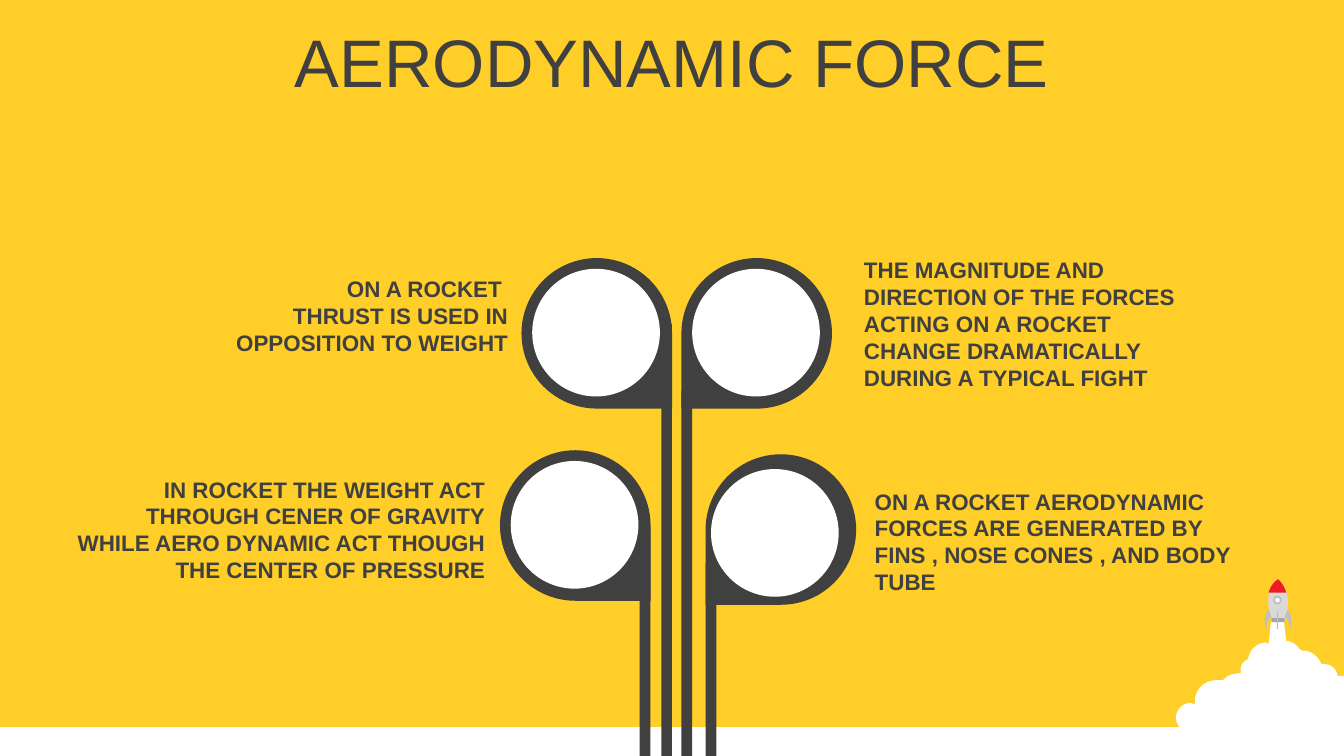
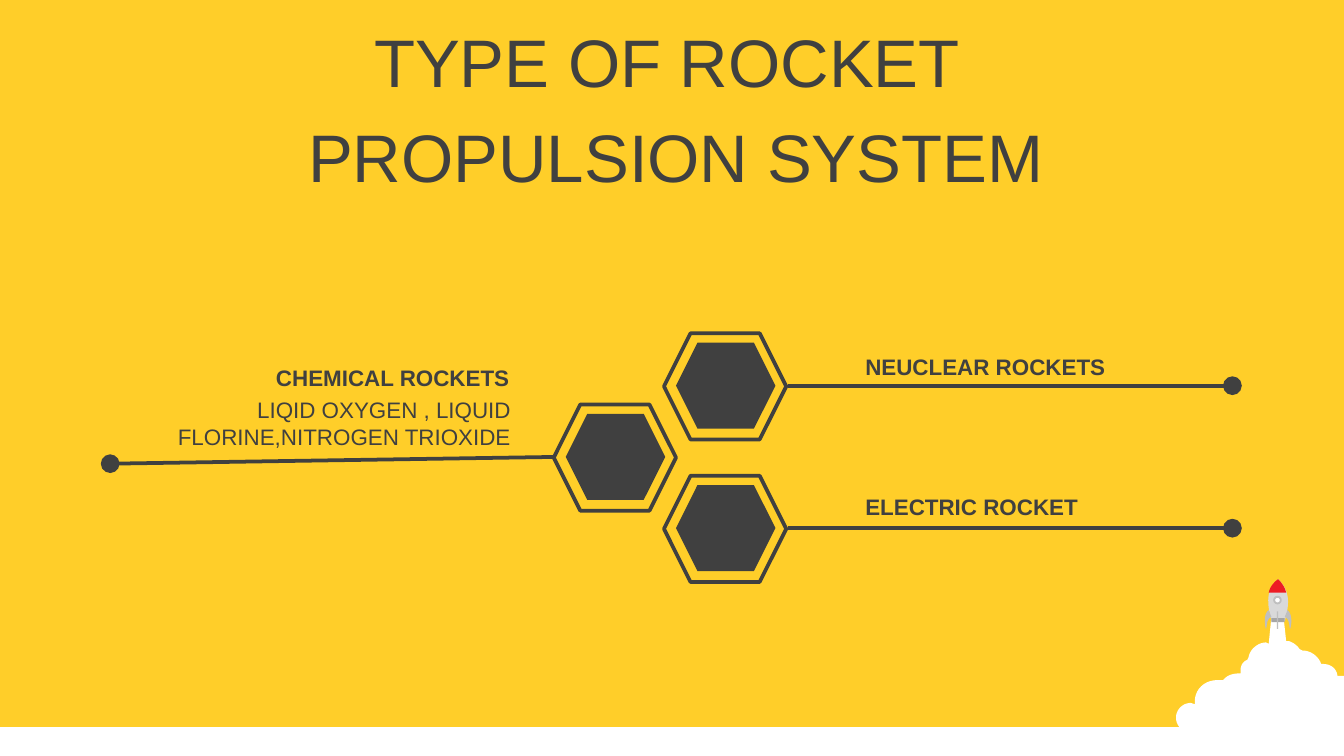
from pptx import Presentation
from pptx.dml.color import RGBColor as Rgb
from pptx.enum.shapes import MSO_CONNECTOR as Link, MSO_SHAPE as Kind
from pptx.enum.text import MSO_ANCHOR as Anchor, MSO_AUTO_SIZE as Fit, PP_ALIGN as Align
from pptx.oxml.ns import qn
from pptx.util import Inches, Pt
from lxml.etree import SubElement

WIDE = 10
HIGH = WIDE * 9 / 16
FONT = "Arial"
HUES = {
    "sky": "FFCE29", "ink": "404040", "white": "FFFFFF", "hull": "D9D9D9",
    "belt": "A6A6A6", "fin": "BFBFBF", "nose": "ED1C24",
}

CLOUD = [
    (.71, .28), (.8, .28), (.82, .46), (.84, .46), (.87, .47, .9, .49, .92, .52),
    (.94, .53), (1, .53, 1.06, .57, 1.08, .63), (1.09, .63),
    (1.15, .63, 1.19, .66, 1.2, .71), (1.2, .72), (1.25, .72), (1.25, 1.3),
    (.59, 1.3), (.48, 1.3, .42, 1.25, .38, 1.2), (.18, 1.12),
    (.16, 1.14, .14, 1.14, .11, 1.14), (.05, 1.14, 0, 1.09, 0, 1.03),
    (0, .97, .05, .92, .11, .92), (.14, .93), (.14, .91),
    (.14, .82, .21, .75, .31, .75), (.35, .75), (.36, .74),
    (.39, .71, .43, .7, .48, .7), (.48, .68), (.48, .64, .5, .61, .53, .6),
    (.54, .58), (.55, .52, .61, .47, .67, .47), (.69, .48),
]
HULL = [(.71, .31), (.69, .22, .65, .09, .76, 0), (.87, .1, .83, .23, .81, .31)]
NOSE = [(.76, 0), (.79, .03, .81, .06, .82, .1), (.69, .1), (.7, .06, .72, .03, .76, 0)]
FIN = [(.69, .23), (.71, .28), (.67, .3, .68, .35, .67, .37), (.66, .34, .65, .26, .69, .23)]


def hue(name):
    """Return the named colour."""
    return Rgb.from_string(HUES[name])


def paint(shape, fill, edge=None, width=1):
    """Give a shape a flat fill and an optional edge."""
    shape.shadow.inherit = False
    shape.fill.solid()
    shape.fill.fore_color.rgb = hue(fill)
    if edge:
        shape.line.color.rgb = hue(edge)
        shape.line.width = Pt(width)
    else:
        shape.line.fill.background()
    return shape


def form(slide, kind, box, fill, edge=None, width=1):
    """Add a preset shape in a box given in inches."""
    shape = slide.shapes.add_shape(kind, *map(Inches, box))
    return paint(shape, fill, edge, width)


def trace(path, steps=10):
    """Turn line ends and cubic curves into a list of points."""
    spots = []
    for part in path:
        if len(part) == 2:
            spots.append(part)
            continue
        knots = [spots[-1], part[:2], part[2:4], part[4:]]
        for step in range(1, steps + 1):
            t = step / steps
            mix = ((1 - t) ** 3, 3 * t * (1 - t) ** 2, 3 * t * t * (1 - t), t ** 3)
            spots.append(tuple(sum(m * k[i] for m, k in zip(mix, knots)) for i in (0, 1)))
    return spots


def draw(slide, left, top, path, fill, flip=None):
    """Draw a closed outline from a corner, mirrored about flip if given."""
    spots = [(Inches(left + (x if flip is None else 2 * flip - x)), Inches(top + y))
             for x, y in trace(path)]
    pen = slide.shapes.build_freeform(*spots[0])
    pen.add_line_segments(spots[1:], close=True)
    paint(pen.convert_to_shape(), fill)


def write(slide, box, lines, size=12, bold=False, align=Align.LEFT, gap=0):
    """Add a text box with one paragraph for each line."""
    shape = slide.shapes.add_textbox(*map(Inches, box))
    frame = shape.text_frame
    frame.word_wrap = True
    frame.text = "\n".join(lines)
    for para in frame.paragraphs:
        para.alignment = align
        para.space_before = Pt(gap)
        font = para.font
        font.name, font.size, font.bold = FONT, Pt(size), bold
        font.color.rgb = hue("ink")
    return frame


def title(slide, box, lines):
    """Add the centred slide title."""
    frame = write(slide, box, lines, 36, align=Align.CENTER, gap=7.2)
    frame.vertical_anchor = Anchor.MIDDLE


def note(slide, box, lines, bold=True, align=Align.LEFT):
    """Add a label whose box grows with its text."""
    write(slide, box, lines, bold=bold, align=align).auto_size = Fit.SHAPE_TO_FIT_TEXT


def rocket(slide, left, top):
    """Draw the rocket rising from its cloud."""
    draw(slide, left, top, CLOUD, "white")
    draw(slide, left, top, HULL, "hull")
    form(slide, Kind.RECTANGLE, (left + .71, top + .29, .1, .03), "belt")
    draw(slide, left, top, NOSE, "nose")
    form(slide, Kind.OVAL, (left + .73, top + .13, .05, .05), "white", "fin")
    form(slide, Kind.RECTANGLE, (left + .75, top + .24, .01, .13), "fin")
    draw(slide, left, top, FIN, "fin")
    draw(slide, left, top, FIN, "fin", flip=.76)


def scene(deck):
    """Add a slide with the ground band and the rocket."""
    slide = deck.slides.add_slide(deck.slide_layouts[6])
    form(slide, Kind.RECTANGLE, (0, 5.41, WIDE, HIGH - 5.41), "white")
    rocket(slide, 8.75, 4.31)
    return slide


def pod(slide, left, top, stem, right=False, inset=(.08, .08)):
    """Draw a drop with a white disc and a stem down to the slide's foot."""
    size, disc, thin = 1.12, .95, .08
    drop = form(slide, Kind.TEAR, (left, top, size, size), "ink")
    drop.rotation = 180 if right else 90
    form(slide, Kind.OVAL, (left + inset[0], top + inset[1], disc, disc), "white")
    edge = left if right else left + size - thin
    form(slide, Kind.RECTANGLE, (edge, stem, thin, HIGH - stem), "ink")


def cell(slide, left, top):
    """Draw a framed hexagon."""
    form(slide, Kind.HEXAGON, (left, top, .91, .79), "sky", "ink", 2)
    form(slide, Kind.HEXAGON, (left + .09, top + .07, .74, .64), "ink")


def rod(slide, start, end):
    """Draw a line that ends in a large dot."""
    line = slide.shapes.add_connector(Link.STRAIGHT, *map(Inches, start + end))
    line.line.color.rgb = hue("ink")
    line.line.width = Pt(2)
    props = line._element.spPr
    SubElement(props.find(qn("a:ln")), qn("a:tailEnd"), type="oval", w="lg", len="lg")
    SubElement(props, qn("a:effectLst"))


def forces(deck):
    """Build the slide on aerodynamic force."""
    slide = scene(deck)
    title(slide, (0, .14, WIDE, .63), ["AERODYNAMIC FORCE"])
    pod(slide, 3.88, 1.92, 2.41)
    pod(slide, 3.72, 3.35, 3.94)
    pod(slide, 5.07, 1.92, 2.91, right=True)
    pod(slide, 5.25, 3.38, 4.19, right=True, inset=(.04, .11))
    note(slide, (1.1, 2, 2.78, .71),
         ["ON A ROCKET ", "THRUST IS USED IN OPPOSITION TO WEIGHT"], align=Align.RIGHT)
    note(slide, (6.41, 3.58, 3.12, .71),
         ["ON A ROCKET AERODYNAMIC FORCES ARE GENERATED BY FINS , NOSE CONES , AND BODY TUBE"])
    note(slide, (.3, 3.49, 3.41, .91),
         ["IN ROCKET THE WEIGHT ACT THROUGH CENER OF GRAVITY",
          "WHILE AERO DYNAMIC ACT THOUGH THE CENTER OF PRESSURE"], align=Align.RIGHT)
    note(slide, (6.33, 1.86, 2.78, 1.11),
         ["THE MAGNITUDE AND DIRECTION OF THE FORCES ACTING ON A ROCKET "
          "CHANGE DRAMATICALLY DURING A TYPICAL FIGHT"])


def types(deck):
    """Build the slide on propulsion systems."""
    slide = scene(deck)
    title(slide, (.03, .49, WIDE, .63), ["TYPE OF ROCKET ", "PROPULSION SYSTEM"])
    for row, left in enumerate((4.94, 4.12, 4.94)):
        cell(slide, left, 2.48 + .53 * row)
    for y in (2.87, 3.93):
        rod(slide, (5.86, y), (9.17, y))
    rod(slide, (4.12, 3.4), (.82, 3.45))
    note(slide, (.35, 2.9, 3.55, .5),
         ["LIQID OXYGEN , LIQUID FLORINE,NITROGEN TRIOXIDE"], bold=False, align=Align.RIGHT)
    note(slide, (1.06, 2.66, 2.83, .3), ["CHEMICAL ROCKETS"], align=Align.RIGHT)
    for y, name in ((2.58, "NEUCLEAR ROCKETS"), (3.62, "ELECTRIC ROCKET")):
        note(slide, (6.34, y, 2.83, .3), [name])


def main():
    """Build and save the deck."""
    deck = Presentation()
    deck.slide_width, deck.slide_height = Inches(WIDE), Inches(HIGH)
    back = deck.slide_master.background.fill
    back.solid()
    back.fore_color.rgb = hue("sky")
    forces(deck)
    types(deck)
    deck.save("out.pptx")


if __name__ == "__main__":
    main()
